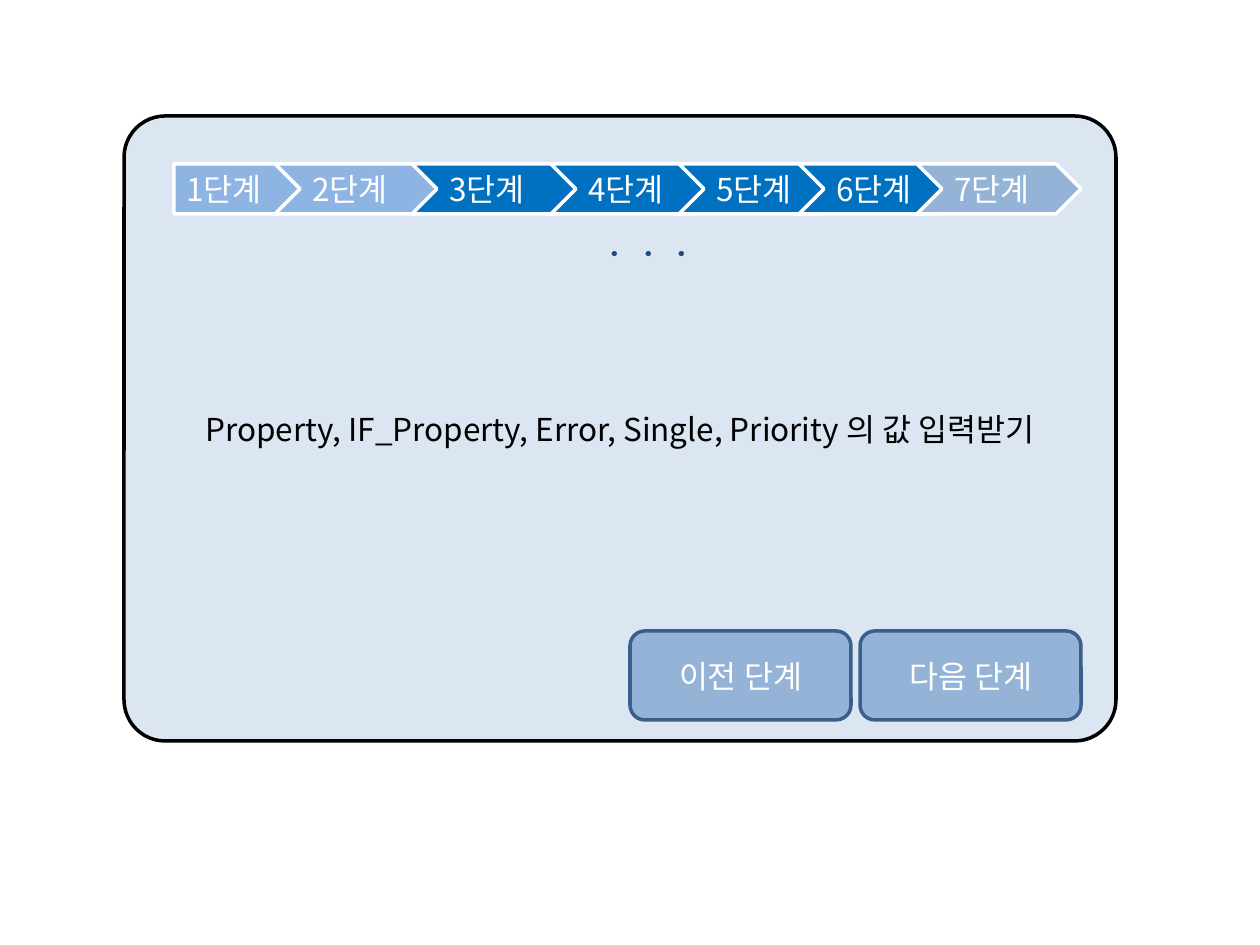
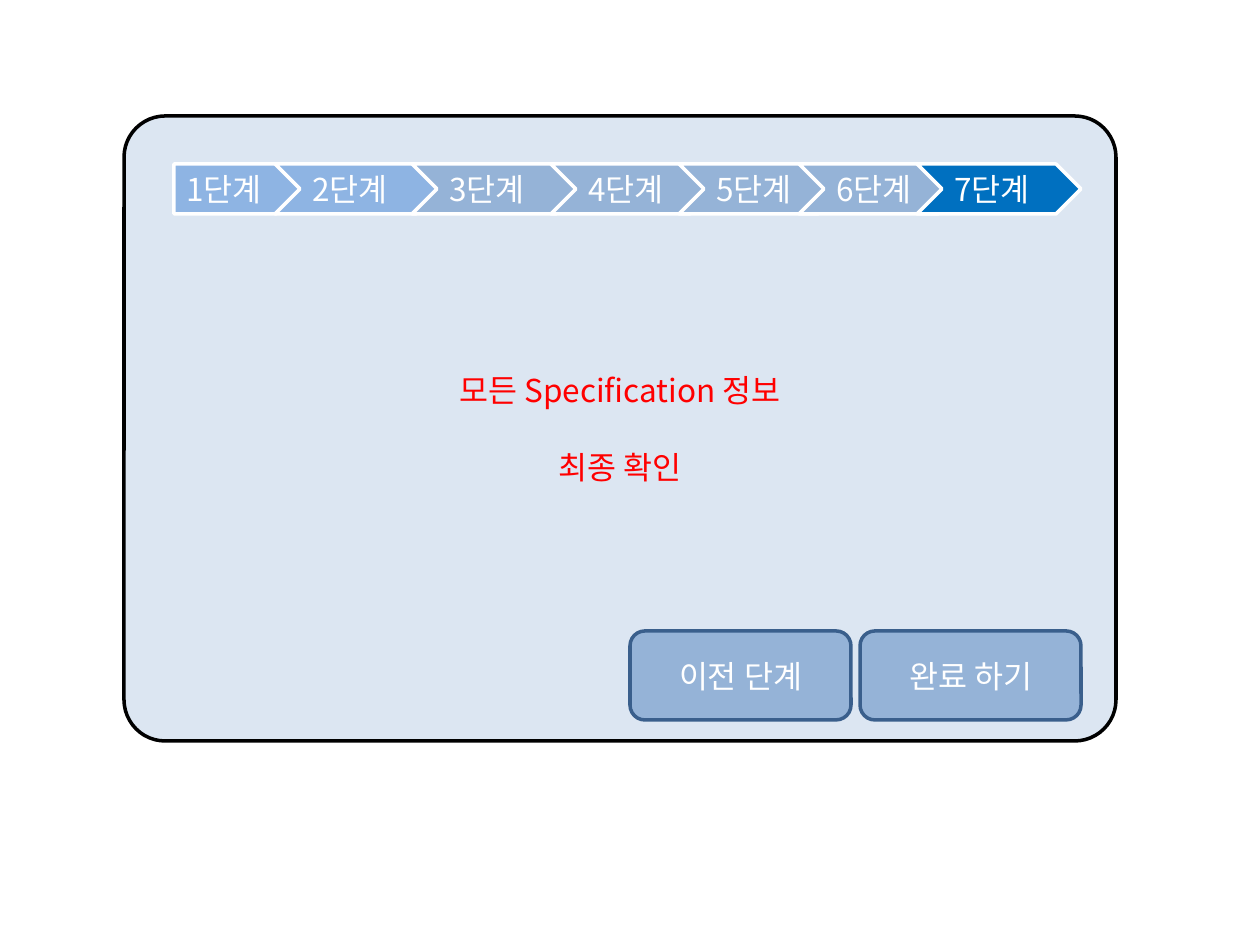
from pptx import Presentation
from pptx.dml.color import RGBColor
from pptx.enum.shapes import MSO_SHAPE
from pptx.enum.text import MSO_ANCHOR, MSO_AUTO_SIZE, PP_ALIGN
from pptx.oxml.ns import qn
from pptx.util import Emu, Pt
from lxml import etree

ROUNDED = MSO_SHAPE.ROUNDED_RECTANGLE
PLATE, CHEVRON = MSO_SHAPE.PENTAGON, MSO_SHAPE.CHEVRON
LEFT, CENTER = PP_ALIGN.LEFT, PP_ALIGN.CENTER
TOP, MIDDLE = MSO_ANCHOR.TOP, MSO_ANCHOR.MIDDLE
GROW = MSO_AUTO_SIZE.SHAPE_TO_FIT_TEXT

EMU_PER_PX = 914400 / 126
FONT = "Noto Sans CJK KR"
BLACK, WHITE, RED, NAVY = "000000", "FFFFFF", "FF0000", "1F497D"
PANEL, BUTTON, BUTTON_EDGE = "DCE6F2", "95B3D7", "3A5F8C"
EARLY_STEP, IDLE_STEP, ACTIVE_STEP = "8EB4E3", "95B3D7", "0070C0"

# Left edge and width of each step in the progress bar
STEPS = [(174, 127), (275, 166), (412, 169), (551, 164),
         (679, 164), (799, 164), (917, 164)]
STEP_TOP, STEP_HEIGHT = 164, 50
BUTTON_LEFT, BUTTON_TOP, BUTTON_WIDTH, BUTTON_HEIGHT = 630, 631, 221, 89
BUTTON_PITCH = 230


def px(length):
    return Emu(round(length * EMU_PER_PX))


def color(hex_value):
    return RGBColor.from_string(hex_value)


def write(frame, text, size=18, ink=WHITE, bold=False, align=CENTER,
          anchor=MIDDLE, gap=0):
    """Fill a text frame, one paragraph per line of text."""
    frame.vertical_anchor = anchor
    for number, line in enumerate(text.split("\n")):
        paragraph = frame.add_paragraph() if number else frame.paragraphs[0]
        paragraph.alignment = align
        if number and gap:
            paragraph.space_before = Pt(gap)
        run = paragraph.add_run()
        run.text = line
        font = run.font
        font.size, font.bold, font.name = Pt(size), bold, FONT
        font.color.rgb = color(ink)
        east_asian = etree.SubElement(run._r.get_or_add_rPr(), qn("a:ea"))
        east_asian.set("typeface", FONT)


class WizardDeck:
    def __init__(self):
        self.deck = Presentation()
        self.deck.slide_width, self.deck.slide_height = px(1260), px(945)
        self.slide = None

    def box(self, preset, left, top, width, height, fill, edge, text, **style):
        shape = self.slide.shapes.add_shape(
            preset, px(left), px(top), px(width), px(height))
        shape.shadow.inherit = False
        shape.fill.solid()
        shape.fill.fore_color.rgb = color(fill)
        shape.line.color.rgb = color(edge)
        shape.line.width = Pt(2)
        write(shape.text_frame, text, **style)
        return shape

    def panel(self, message, **style):
        panel = self.box(ROUNDED, 124, 116, 992, 625, PANEL, BLACK,
                         message, **style)
        panel.adjustments[0] = 0.066

    def progress(self, active):
        for number, (left, width) in enumerate(STEPS, start=1):
            idle = EARLY_STEP if number <= 2 else IDLE_STEP
            self.box(PLATE if number == 1 else CHEVRON,
                     left, STEP_TOP, width, STEP_HEIGHT,
                     ACTIVE_STEP if number in active else idle, WHITE,
                     f"{number}단계", align=LEFT, anchor=TOP)

    def buttons(self, *labels):
        for position, label in enumerate(labels):
            self.box(ROUNDED, BUTTON_LEFT + position * BUTTON_PITCH, BUTTON_TOP,
                     BUTTON_WIDTH, BUTTON_HEIGHT, BUTTON, BUTTON_EDGE, label)

    def vertical_text(self, left, top, width, height, text, **style):
        frame = self.slide.shapes.add_textbox(
            px(left), px(top), px(width), px(height)).text_frame
        frame.word_wrap = False
        frame.auto_size = GROW
        frame._txBody.bodyPr.set("vert", "eaVert")
        write(frame, text, **style)

    def screen(self, message, active, forward, **style):
        self.slide = self.deck.slides.add_slide(self.deck.slide_layouts[6])
        self.panel(message, **style)
        self.progress(active)
        self.buttons("이전 단계", forward)


def main():
    wizard = WizardDeck()

    # Steps 3 to 6: entering the values
    wizard.screen("Property, IF_Property, Error, Single, Priority 의 값 입력받기",
                  range(3, 7), "다음 단계", ink=BLACK)
    wizard.vertical_text(587, 242, 127, 20, ".\n.\n.", size=16, ink=NAVY,
                         bold=True, align=LEFT, anchor=TOP)

    # Step 7: final check
    wizard.screen("모든 Specification 정보\n최종 확인",
                  [7], "완료 하기", ink=RED, gap=22)

    wizard.deck.save("out.pptx")


if __name__ == "__main__":
    main()
